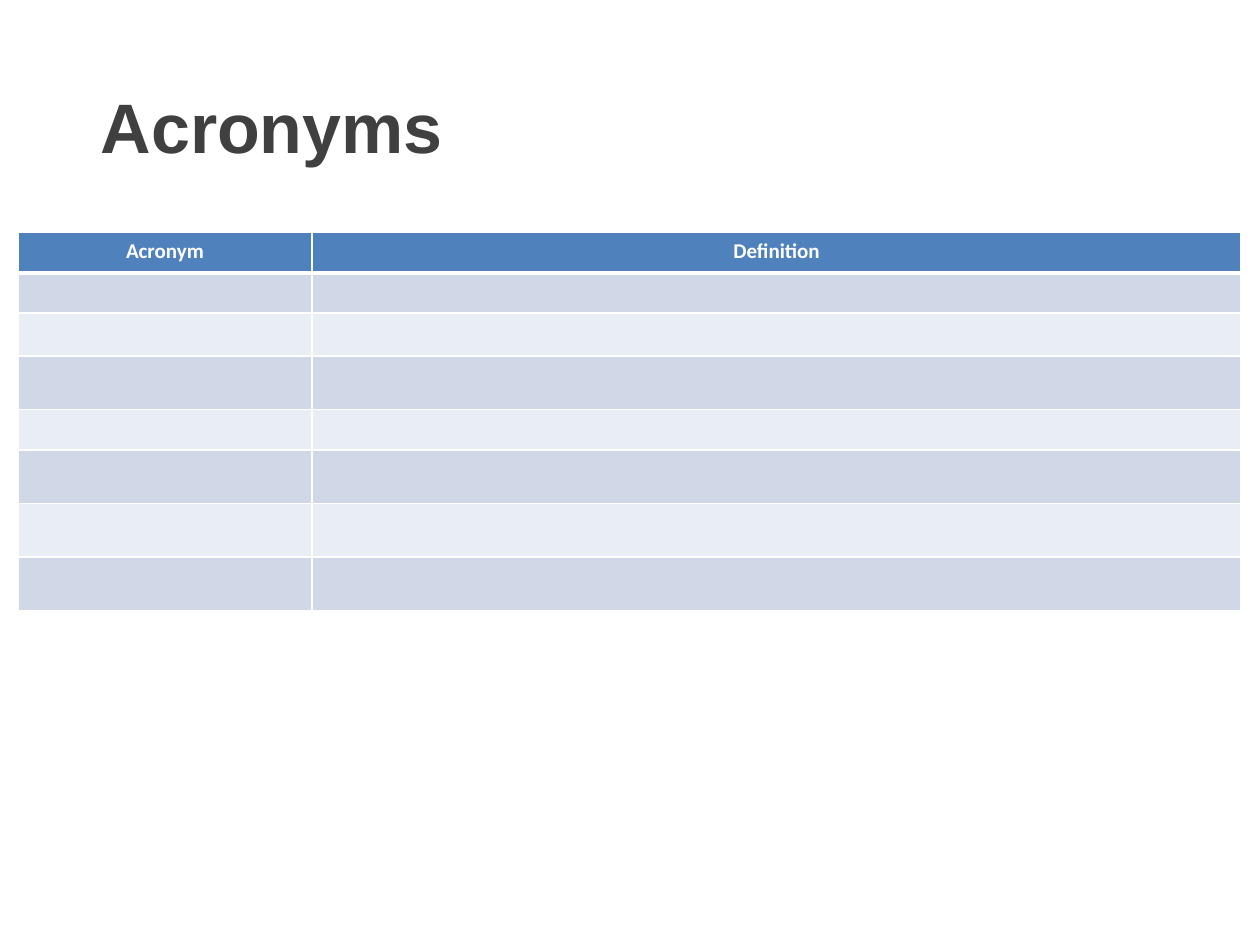
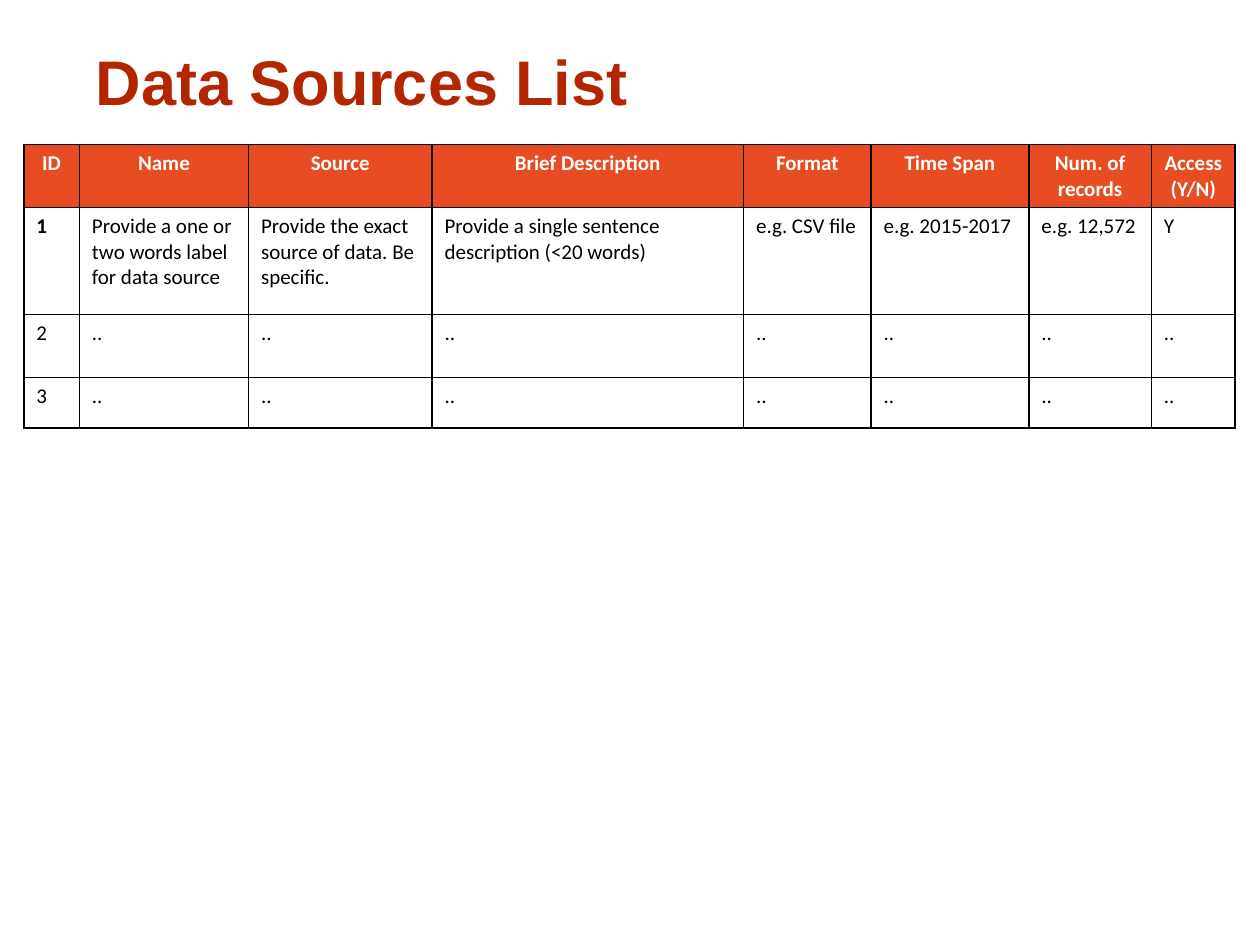
from dataclasses import dataclass
from itertools import cycle, islice

from lxml import etree
from pptx import Presentation
from pptx import util as u
from pptx.dml.color import RGBColor
from pptx.enum import text
from pptx.oxml.ns import qn


@dataclass(frozen=True)
class Theme:
    white: str = "FFFFFF"
    black: str = "000000"
    charcoal: str = "404040"
    rust: str = "B22600"
    blue: str = "4F81BD"
    orange: str = "E84C22"
    bands: tuple = ("D0D8E8", "E9EDF4")
    title_font: str = "Arial"
    table_font: str = "Calibri"
    large_title: int = 40
    small_title: int = 36
    table_size: int = 12
    thin: int = 1
    thick: int = 3


class Deck:
    def __init__(self, theme):
        self.theme = theme
        self.prs = Presentation()
        self.prs.slide_width = u.Cm(25.4)
        self.prs.slide_height = u.Cm(19.05)
        self.slide = None

    def new_slide(self):
        self.slide = self.prs.slides.add_slide(self.prs.slide_layouts[6])

    def run(self, paragraph, words, font, size, color, bold):
        run = paragraph.add_run()
        run.text = words
        run.font.name = font
        run.font.size = u.Pt(size)
        run.font.bold = bold
        run.font.color.rgb = RGBColor.from_string(color)

    def title(self, words, place, size, color):
        frame = self.slide.shapes.add_textbox(*map(u.Cm, place)).text_frame
        frame.word_wrap = True
        frame.vertical_anchor = text.MSO_ANCHOR.TOP
        frame.margin_top = u.Cm(0.28)
        self.run(frame.paragraphs[0], words, self.theme.title_font, size, color, True)

    def table(self, corner, widths, heights):
        box = (*corner, sum(widths), sum(heights))
        table = self.slide.shapes.add_table(
            len(heights), len(widths), *map(u.Cm, box)).table
        table.horz_banding = False
        for column, width in zip(table.columns, widths):
            column.width = u.Cm(width)
        for row, height in zip(table.rows, heights):
            row.height = u.Cm(height)
        return table

    def row(self, table, index, entries, color, fill=None, bold_cells=0, centred=False):
        for column, entry in enumerate(entries):
            cell = table.cell(index, column)
            if fill:
                cell.fill.solid()
                cell.fill.fore_color.rgb = RGBColor.from_string(fill)
            else:
                cell.fill.background()
            self.words(cell, entry, color, column < bold_cells, centred)

    def words(self, cell, entry, color, bold, centred):
        frame = cell.text_frame
        for number, line in enumerate(entry.split("\n")):
            paragraph = frame.add_paragraph() if number else frame.paragraphs[0]
            if centred:
                paragraph.alignment = text.PP_ALIGN.CENTER
            if line:
                self.run(paragraph, line, self.theme.table_font,
                         self.theme.table_size, color, bold)
            else:
                end = paragraph._p.get_or_add_endParaRPr()
                end.set("sz", str(self.theme.table_size * 100))

    def borders(self, table, color, header_rule):
        for index, row in enumerate(table.rows):
            top = header_rule if index == 1 else self.theme.thin
            bottom = header_rule if index == 0 else self.theme.thin
            sides = {"lnL": self.theme.thin, "lnR": self.theme.thin,
                     "lnT": top, "lnB": bottom}
            for cell in row.cells:
                properties = cell._tc.get_or_add_tcPr()
                for position, (side, width) in enumerate(sides.items()):
                    line = etree.Element(qn(f"a:{side}"), w=str(u.Pt(width)))
                    paint = etree.SubElement(line, qn("a:solidFill"))
                    etree.SubElement(paint, qn("a:srgbClr"), val=color)
                    properties.insert(position, line)


def acronyms(deck):
    theme = deck.theme
    deck.new_slide()
    headings = ("Acronym", "Definition")
    heights = (0.81, 0.81, 0.87, 1.08, 0.81, 1.08, 1.08, 1.08)
    glossary = deck.table((0.36, 4.69), (5.93, 18.73), heights)
    deck.row(glossary, 0, headings, theme.white, theme.blue, len(headings), True)
    bands = islice(cycle(theme.bands), len(heights) - 1)
    for index, band in enumerate(bands, 1):
        deck.row(glossary, index, ("", ""), theme.black, band)
    deck.borders(glossary, theme.white, theme.thick)
    deck.title("Acronyms", (1.78, 1.4, 21.87, 2.92), theme.large_title, theme.charcoal)


def data_sources(deck):
    theme = deck.theme
    deck.new_slide()
    headings = ("ID", "Name", "Source", "Brief Description", "Format",
                "Time Span", "Num. of records", "Access \n(Y/N)")
    example = ("1", "Provide a one or two words label for data source",
               "Provide the exact source of data. Be specific.",
               "Provide a single sentence description (<20 words)",
               "e.g. CSV file", "e.g. 2015-2017", "e.g. 12,572", "Y")
    widths = (1.12, 3.41, 3.7, 6.28, 2.57, 3.18, 2.47, 1.69)
    sources = deck.table((0.48, 2.91), widths, (1.27, 2.16, 1.27, 1.02))
    deck.row(sources, 0, headings, theme.white, theme.orange, len(headings), True)
    deck.row(sources, 1, example, theme.black, bold_cells=1)
    for number in (2, 3):
        unfilled = [".."] * (len(headings) - 1)
        deck.row(sources, number, [str(number), *unfilled], theme.black)
    deck.borders(sources, theme.black, theme.thin)
    deck.title("Data Sources List", (1.68, 0.58, 21.54, 1.83),
               theme.small_title, theme.rust)


def main():
    deck = Deck(Theme())
    acronyms(deck)
    data_sources(deck)
    deck.prs.save("out.pptx")


if __name__ == "__main__":
    main()
